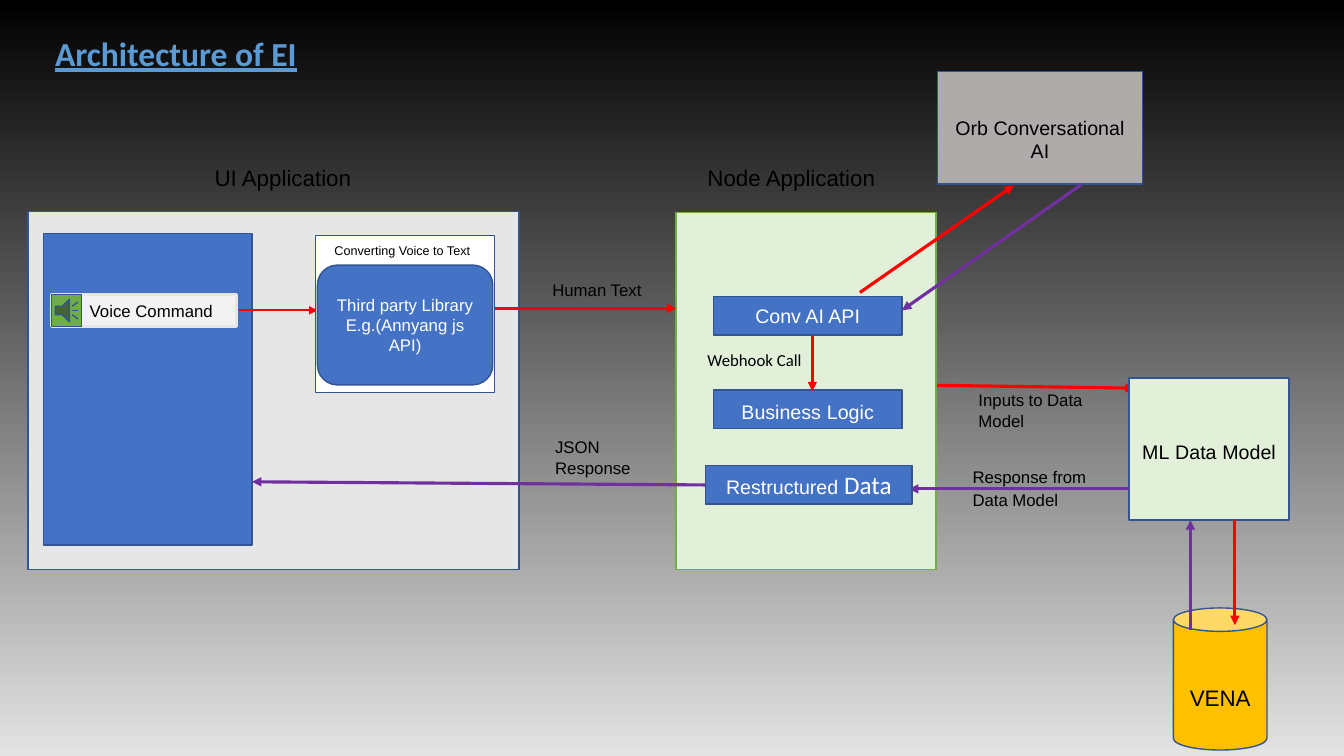
"""Build the voice assistant architecture slide."""
from dataclasses import dataclass
from typing import Any, Optional, Union

import lxml.etree
import pptx
import pptx.dml.color
import pptx.enum.dml
import pptx.enum.shapes
import pptx.enum.text
import pptx.oxml.ns
import pptx.util

Cm = pptx.util.Cm
Shapes = pptx.enum.shapes.MSO_SHAPE
Align = pptx.enum.text.PP_ALIGN
Anchor = pptx.enum.text.MSO_ANCHOR

COLORS = {
    "black": "000000", "white": "FFFFFF", "haze": "E4E3E3", "title": "5B9BD5",
    "blue": "4472C4", "edge": "325491", "panel": "E7E6E6", "field": "F2F2F2",
    "green": "70AD47", "mint": "E2F0D9", "gold": "FFC000", "gray": "AFABAB",
    "request": "FF0000", "reply": "7030A0",
}


@dataclass
class Run:
    """A piece of text in one font."""
    text: str
    size: float = 12
    font: str = "Arial"
    bold: Optional[bool] = None
    underline: Optional[bool] = None


@dataclass
class Box:
    """A filled shape with optional centred text."""
    area: tuple[float, float, float, float]
    fill: str
    runs: tuple[Run, ...] = ()
    color: str = "black"
    kind: Any = Shapes.RECTANGLE
    edge: str = "edge"
    weight: float = 1
    margin_left: float = 0.25
    margin_top: float = 0.13


@dataclass
class Label:
    """Free text without a fill."""
    area: tuple[float, float, float, float]
    runs: tuple[Run, ...]
    color: str = "black"
    wrap: bool = True


@dataclass
class Arrow:
    """A straight arrow from start to end."""
    start: tuple[float, float]
    end: tuple[float, float]
    color: str
    weight: float = 2.25


def spaced(text: str, size: float, gap_size: float) -> tuple[Run, ...]:
    """Set words in Arial with larger Calibri spaces between them."""
    runs: list[Run] = []
    for word in text.split():
        if runs:
            runs.append(Run(" ", gap_size, "Calibri"))
        runs.append(Run(word, size))
    return tuple(runs)


def step(left: float, top: float, width: float, runs: tuple[Run, ...]) -> Box:
    """Describe one blue processing step of the node application."""
    return Box((left, top, width, 0.97), "blue", runs, "white")


ITEMS: list[Union[Box, Label, Arrow]] = [
    Label((13.74, 10.74, 3.3, 1.45), spaced("JSON Response", 12, 16)),
    Arrow((22.89, 9.7), (28.6, 9.78), "request"),
    Label((1.14, 0.71, 7.29, 1.27),
          (Run("Architecture of EI", 24, "Calibri", True, True),), "title"),
    Box((0.71, 5.33, 12.37, 9.02), "panel"),
    Box((1.09, 5.89, 5.26, 7.85), "blue"),
    Box((1.3, 7.42, 4.67, 0.81), "field", (Run("Voice Command"),),
        edge="panel", weight=2.25, margin_left=0.61),
    Box((1.3, 7.42, 0.76, 0.81), "green", kind=Shapes.ACTION_BUTTON_SOUND),
    Label((5.16, 4.01, 4.24, 0.94), (Run("UI Application", 16),), wrap=False),
    Arrow((6.02, 7.82), (8, 7.82), "request", 1.5),
    Box((17.04, 5.36, 6.55, 8.99), "mint", edge="green"),
    step(17.98, 7.47, 4.75, (Run("Conv AI API", 14),)),
    Label((17.58, 4.01, 5.36, 0.94), (Run("Node Application", 16),)),
    Arrow((17.78, 12.22), (6.35, 12.14), "reply"),
    Arrow((12.47, 7.77), (17.04, 7.77), "request"),
    Label((13.67, 6.93, 2.95, 0.76), (Run("Human Text"),)),
    Box((28.45, 9.53, 4.04, 3.58), "mint", spaced("ML Data Model", 14, 18)),
    Arrow((28.45, 12.32), (22.91, 12.32), "reply"),
    Box((29.57, 15.32, 2.36, 3.58), "gold", (Run("VENA", 16),),
        kind=Shapes.CAN, margin_top=0.78),
    Arrow((31.12, 13.11), (31.12, 15.75), "request"),
    Arrow((30, 15.88), (30, 13.11), "reply"),
    Box((7.95, 5.94, 4.52, 3.96), "white"),
    Box((8, 6.68, 4.42, 3.02), "blue",
        (Run("Third party Library E.g.(Annyang js API)"),), "white",
        Shapes.ROUNDED_RECTANGLE),
    Label((8.18, 5.99, 4.29, 0.64), (Run("Converting Voice to Text", 9),)),
    Box((23.62, 1.8, 5.18, 2.84), "gray", (Run("Orb Conversational AI", 14),),
        margin_top=0.7),
    Arrow((21.67, 7.37), (25.55, 4.67), "request"),
    Arrow((27.25, 4.65), (22.73, 7.82), "reply"),
    step(17.98, 9.83, 4.75, spaced("Business Logic", 14, 18)),
    step(17.78, 11.73, 5.21,
         (Run("Restructured", 14), Run(" Data", 18, "Calibri"))),
    Label((24.41, 9.63, 4.04, 1.37), spaced("Inputs to Data Model", 12, 14)),
    Label((17.58, 8.69, 3.66, 0.76), (Run("Webhook Call", 12, "Calibri"),)),
    Label((24.26, 11.56, 4.04, 1.45),
          spaced("Response from Data Model", 12, 14)),
    Arrow((20.47, 8.46), (20.47, 9.86), "request"),
]


def rgb(name: str) -> pptx.dml.color.RGBColor:
    """Look up a named colour."""
    return pptx.dml.color.RGBColor.from_string(COLORS[name])


def apply(target: Any, values: dict[str, Any]) -> None:
    """Set each format value on the target."""
    for name, value in values.items():
        setattr(target, name, value)


def write(frame: Any, runs: tuple[Run, ...], color: str, align: Any) -> None:
    """Fill the first paragraph of a text frame."""
    para = frame.paragraphs[0]
    para.alignment = align
    for run in runs:
        span = para.add_run()
        span.text = run.text
        apply(span.font, {"size": pptx.util.Pt(run.size), "name": run.font,
                          "bold": run.bold, "underline": run.underline})
        span.font.color.rgb = rgb(color)


def draw_box(page: Any, box: Box) -> None:
    """Draw a filled shape."""
    shape = page.shapes.add_shape(box.kind, *map(Cm, box.area))
    shape.shadow.inherit = False
    shape.fill.solid()
    shape.fill.fore_color.rgb = rgb(box.fill)
    shape.line.color.rgb = rgb(box.edge)
    shape.line.width = pptx.util.Pt(box.weight)
    if box.runs:
        apply(shape.text_frame, {
            "word_wrap": True, "vertical_anchor": Anchor.MIDDLE,
            "margin_left": Cm(box.margin_left),
            "margin_top": Cm(box.margin_top)})
        write(shape.text_frame, box.runs, box.color, Align.CENTER)


def draw_label(page: Any, label: Label) -> None:
    """Draw a text box."""
    frame = page.shapes.add_textbox(*map(Cm, label.area)).text_frame
    frame.word_wrap = label.wrap
    write(frame, label.runs, label.color, Align.LEFT)


def draw_arrow(page: Any, arrow: Arrow) -> None:
    """Draw a connector with a triangle at its end."""
    line = page.shapes.add_connector(
        pptx.enum.shapes.MSO_CONNECTOR.STRAIGHT,
        *map(Cm, arrow.start + arrow.end))
    line.line.color.rgb = rgb(arrow.color)
    line.line.width = pptx.util.Pt(arrow.weight)
    qn = pptx.oxml.ns.qn
    properties = line._element.spPr
    lxml.etree.SubElement(properties.find(qn("a:ln")), qn("a:tailEnd"),
                          type="triangle")
    lxml.etree.SubElement(properties, qn("a:effectLst"))


def main() -> None:
    """Build and save the deck."""
    deck = pptx.Presentation()
    apply(deck, {"slide_width": Cm(33.87), "slide_height": Cm(19.05)})
    page = deck.slides.add_slide(deck.slide_layouts[6])
    backdrop = page.background.fill
    backdrop.gradient()
    backdrop.gradient_angle = 270
    for stop, name in zip(backdrop.gradient_stops, ("black", "haze")):
        stop.color.rgb = rgb(name)
    painters = {Box: draw_box, Label: draw_label, Arrow: draw_arrow}
    for item in ITEMS:
        painters[type(item)](page, item)
    deck.save("out.pptx")


if __name__ == "__main__":
    main()
